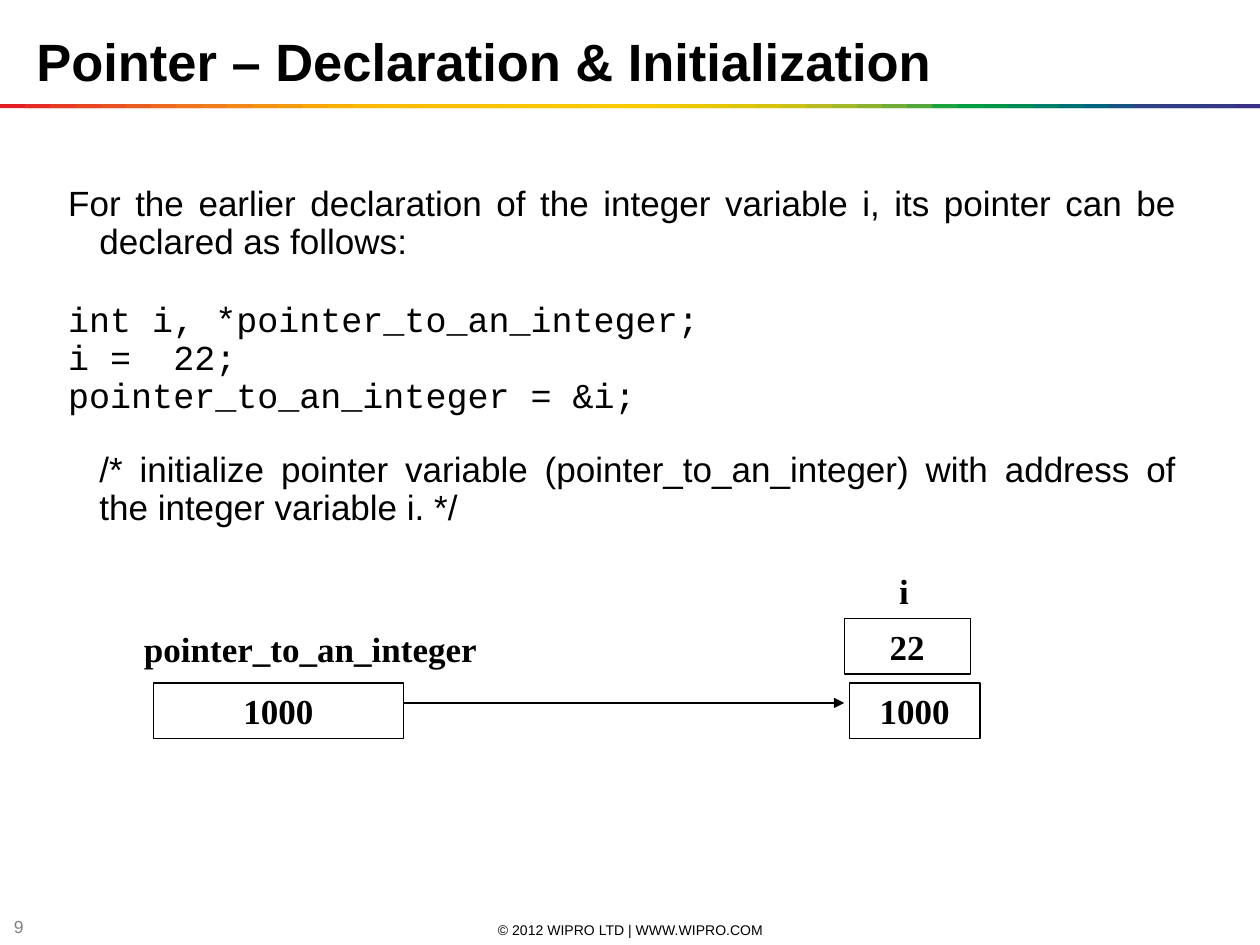
from dataclasses import dataclass

import pptx
import pptx.dml.color
import pptx.enum.shapes
import pptx.enum.text
import pptx.oxml.ns
import pptx.util
from lxml import etree

Cm, Pt = pptx.util.Cm, pptx.util.Pt
ALIGN = pptx.enum.text.PP_ALIGN
MIDDLE = pptx.enum.text.MSO_ANCHOR.MIDDLE
RECTANGLE = pptx.enum.shapes.MSO_SHAPE.RECTANGLE
qn = pptx.oxml.ns.qn

SLIDE_WIDTH, SLIDE_HEIGHT = 25.4, 19.05
BLACK, GRAY = "000000", "7F7F7F"
RULE_COLORS = """
    E31E24 E42C24 E53A24 E74623 E85122 EA5D21 EC691F EE741D EF7E1A F18817
    F39314 F49C0F F6A607 F8B002 FBBA00 FBBB00 FBBD00 FCBF00 FCC000 FCC200
    FDC400 FDC600 FDC700 FEC900 FECB00 FBCB00 F3CA00 ECC800 E4C602 DCC50A
    D5C30E CCC117 B8BC21 A3B829 8CB230 71AD36 51A73B 1DA240 009D43 009846
    008C57 008068 007275 00637F 185384 2E4285 313E85 333B85 353885 393185
""".split()


@dataclass
class BodyLine:
    text: str
    font: str = "Arial"
    space_before: float = 0
    first_indent: float = -0.63


@dataclass
class Label:
    """A line of text, with lengths in centimetres."""
    text: str
    left: float
    top: float
    width: float
    height: float = 1.12
    framed: bool = False
    size: float = 20
    font: str = "Times New Roman"
    bold: bool = True
    color: str = BLACK
    align: ALIGN = ALIGN.CENTER


BODY_LINES = [
    BodyLine("For the earlier declaration of the integer variable i, "
             "its pointer can be declared as follows:"),
    BodyLine("int i, *pointer_to_an_integer;", "Courier New", 23),
    BodyLine("i =  22;", "Courier New"),
    BodyLine("pointer_to_an_integer = &i;", "Courier New"),
    BodyLine("/* initialize pointer variable (pointer_to_an_integer) with "
             "address of the integer variable i. */",
             space_before=21, first_indent=0),
]
LABELS = [
    Label("© 2012 WIPRO LTD | WWW.WIPRO.COM", 8.69, 18.54, 8.05, 0.41,
          size=8, font="Arial", bold=False),
    Label("9", 0.03, 18.47, 0.99, 0.41, size=10, font="Arial", bold=False,
          color=GRAY, align=ALIGN.LEFT),
    Label("i", 17.3, 11.35, 1.85),
    Label("22", 17.02, 12.47, 2.54, framed=True),
    Label("1000", 17.12, 13.77, 2.64, framed=True),
    Label("pointer_to_an_integer", 1.7, 12.52, 9.12),
    Label("1000", 3.1, 13.77, 5.03, framed=True),
]


def rgb(color: str) -> pptx.dml.color.RGBColor:
    return pptx.dml.color.RGBColor.from_string(color)


def place(shape, left: float, top: float, width: float, height: float) -> None:
    shape.left, shape.top = Cm(left), Cm(top)
    shape.width, shape.height = Cm(width), Cm(height)


def add_run(paragraph, text: str, font: str, size: float,
            color: str = BLACK, bold: bool = False) -> None:
    run = paragraph.add_run()
    run.text = text
    run.font.name, run.font.size, run.font.bold = font, Pt(size), bold
    run.font.color.rgb = rgb(color)


def add_color_rule(slide) -> None:
    """Draw the rainbow rule as overlapping strips, each half covered by the next."""
    step = SLIDE_WIDTH / len(RULE_COLORS)
    for index, color in enumerate(RULE_COLORS):
        left = index * step
        strip = slide.shapes.add_shape(
            RECTANGLE, Cm(left), Cm(2.1),
            Cm(min(2 * step, SLIDE_WIDTH - left)), Cm(0.08))
        strip.shadow.inherit = False
        strip.fill.solid()
        strip.fill.fore_color.rgb = rgb(color)
        strip.line.fill.background()


def fill_title(title) -> None:
    place(title, 0.48, 0.45, 21, 1.55)
    title.text_frame.vertical_anchor = MIDDLE
    heading = title.text_frame.paragraphs[0]
    heading.alignment = ALIGN.LEFT
    add_run(heading, "Pointer – Declaration & Initialization", "Arial", 30,
            bold=True)


def fill_body(body) -> None:
    place(body, 1.12, 2.77, 22.86, 9.12)
    frame = body.text_frame
    frame.auto_size = pptx.enum.text.MSO_AUTO_SIZE.NONE
    frame.margin_top = Cm(0.98)
    for index, line in enumerate(BODY_LINES):
        paragraph = frame.add_paragraph() if index else frame.paragraphs[0]
        properties = paragraph._p.get_or_add_pPr()
        properties.set("marL", str(Cm(0.63)))
        properties.set("indent", str(Cm(line.first_indent)))
        etree.SubElement(properties, qn("a:buNone"))
        paragraph.alignment = ALIGN.JUSTIFY
        paragraph.line_spacing = Pt(21.6)
        paragraph.space_before = Pt(line.space_before)
        add_run(paragraph, line.text, line.font, 20)


def add_label(slide, label: Label) -> None:
    bounds = [Cm(v) for v in (label.left, label.top, label.width, label.height)]
    if label.framed:
        shape = slide.shapes.add_shape(RECTANGLE, *bounds)
        shape.shadow.inherit = False
        shape.fill.background()
        shape.line.color.rgb = rgb(BLACK)
        shape.line.width = Pt(0.75)
    else:
        shape = slide.shapes.add_textbox(*bounds)
    frame = shape.text_frame
    frame.word_wrap = True
    frame.vertical_anchor = MIDDLE
    paragraph = frame.paragraphs[0]
    paragraph.alignment = label.align
    add_run(paragraph, label.text, label.font, label.size, label.color,
            label.bold)


def add_arrow(slide, start: float, end: float, height: float) -> None:
    arrow = slide.shapes.add_connector(
        pptx.enum.shapes.MSO_CONNECTOR.STRAIGHT,
        Cm(start), Cm(height), Cm(end), Cm(height))
    arrow.line.color.rgb = rgb(BLACK)
    arrow.line.width = Pt(0.75)
    etree.SubElement(arrow.line._get_or_add_ln(), qn("a:tailEnd"),
                     type="triangle")
    etree.SubElement(arrow._element.spPr, qn("a:effectLst"))


def main() -> None:
    presentation = pptx.Presentation()
    presentation.slide_width = Cm(SLIDE_WIDTH)
    presentation.slide_height = Cm(SLIDE_HEIGHT)
    slide = presentation.slides.add_slide(presentation.slide_layouts[1])
    add_color_rule(slide)
    fill_title(slide.shapes.title)
    fill_body(slide.placeholders[1])
    for label in LABELS:
        add_label(slide, label)
    add_arrow(slide, 8.13, 17.02, 14.17)
    presentation.save("out.pptx")


if __name__ == "__main__":
    main()
